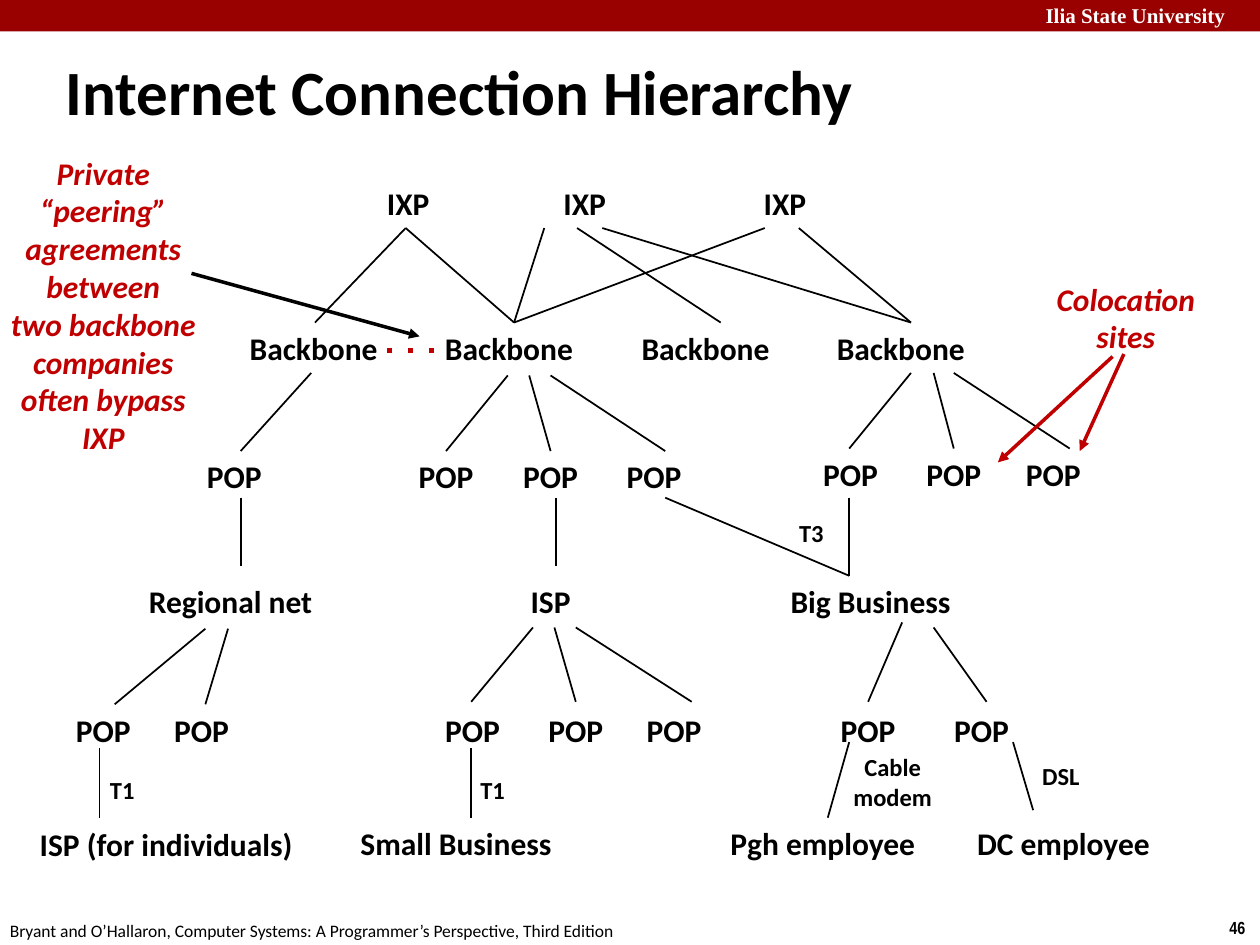
from lxml import etree
from pptx import Presentation
from pptx.dml.color import RGBColor
from pptx.enum.shapes import MSO_CONNECTOR, MSO_SHAPE
from pptx.enum.text import MSO_ANCHOR, PP_ALIGN
from pptx.oxml.ns import qn
from pptx.util import Inches, Pt

BLACK, RED = "000000", "C00000"

deck = Presentation()
deck.slide_width, deck.slide_height = Inches(10), Inches(7.5)
slide = deck.slides.add_slide(deck.slide_layouts[6])
shapes = slide.shapes


def write(text, left, top, width, height, size=18, color=BLACK, face="Calibri",
          bold=True, italic=False, align=PP_ALIGN.CENTER,
          anchor=MSO_ANCHOR.MIDDLE, wrap=False):
    box = shapes.add_textbox(*map(Inches, (left, top, width, height)))
    frame = box.text_frame
    frame.text = text
    frame.word_wrap = wrap
    frame.vertical_anchor = anchor
    for para in frame.paragraphs:
        para.alignment = align
        font = para.runs[0].font
        font.size, font.name = Pt(size), face
        font.bold, font.italic = bold, italic
        font.color.rgb = RGBColor.from_string(color)


def link(x1, y1, x2, y2, color=BLACK, weight=1, dash=None, arrow=False):
    line = shapes.add_connector(MSO_CONNECTOR.STRAIGHT,
                                *map(Inches, (x1, y1, x2, y2)))
    line.line.color.rgb = RGBColor.from_string(color)
    line.line.width = Pt(weight)
    props = line.line._get_or_add_ln()
    if dash:
        etree.SubElement(props, qn("a:prstDash"), val=dash)
    if arrow:
        etree.SubElement(props, qn("a:tailEnd"), type="triangle")
    etree.SubElement(line._element.spPr, qn("a:effectLst"))


# Header, footer and title
bar = shapes.add_shape(MSO_SHAPE.RECTANGLE, 0, 0, Inches(10), Inches(0.25))
bar.shadow.inherit = False
bar.fill.solid()
bar.fill.fore_color.rgb = RGBColor.from_string("990000")
bar.line.fill.background()

plain = {"align": PP_ALIGN.LEFT, "anchor": MSO_ANCHOR.TOP}
write("Ilia State University", 8.2, -0.03, 1.87, 0.3, 12, "FFFFFF",
      "Times New Roman", wrap=True, **plain)
write("46", 9.66, 7.23, 0.34, 0.27, 10, face="Arial Narrow", **plain)
write("Bryant and O’Hallaron, Computer Systems: A Programmer’s Perspective, "
      "Third Edition", -0.02, 7.25, 5.08, 0.27, 10, bold=False, **plain)
write("Internet Connection Hierarchy", 0.42, 0.37, 8.25, 0.63, 36,
      wrap=True, **plain)

# Links between levels: top y, bottom y, then (top x, bottom x) pairs
fans = [
    (1.81, 2.56, [(3.22, 2.5), (3.22, 4.08), (4.32, 4.08), (4.58, 5.72),
                  (4.78, 7.23), (6.07, 4.08), (6.34, 7.23)]),
    (2.96, 3.58, [(2.47, 1.91)]),
    (2.98, 3.58, [(4.03, 3.54), (4.2, 4.37), (4.37, 5.28)]),
    (2.96, 3.56, [(7.23, 6.74), (7.41, 7.57), (7.57, 8.49)]),
    (3.95, 4.49, [(1.91, 1.91), (4.41, 4.41)]),
    (3.95, 4.57, [(5.28, 6.74), (6.74, 6.74)]),
    (4.99, 5.59, [(1.63, 0.91), (1.81, 1.63)]),
    (4.98, 5.57, [(4.23, 3.74), (4.4, 4.57), (4.57, 5.49), (7.41, 7.83)]),
    (4.94, 5.57, [(7.16, 6.89)]),
    (5.94, 6.49, [(0.79, 0.79), (3.74, 3.74)]),
    (5.89, 6.49, [(6.74, 6.57)]),
    (5.89, 6.43, [(8.04, 8.2)]),
]
for top, bottom, pairs in fans:
    for x1, x2 in pairs:
        link(x1, top, x2, bottom)

# Repeated nodes: text, width, top, centres
nodes = [
    ("IXP", 0.54, 1.41, [3.24, 4.64, 6.23]),
    ("Backbone", 1.23, 2.56, [2.49, 4.04, 5.6, 7.15]),
    ("POP", 0.64, 3.58, [1.86, 3.54, 4.37, 5.19]),
    ("POP", 0.64, 3.56, [6.75, 7.57, 8.36]),
    ("Regional net", 1.5, 4.57, [1.83]),
    ("ISP", 0.52, 4.57, [4.37]),
    ("Big Business", 1.48, 4.57, [6.91]),
    ("POP", 0.64, 5.59, [0.82, 1.6, 3.75, 4.57, 5.35, 6.89, 7.79]),
    ("ISP (for individuals)", 2.23, 6.5, [1.32]),
    ("Small Business", 1.73, 6.49, [3.62]),
    ("Pgh employee", 1.68, 6.49, [6.53]),
    ("DC employee", 1.58, 6.49, [8.44]),
]
for text, width, top, centres in nodes:
    for mid in centres:
        write(text, mid - width / 2, top, width, 0.4)

# Link types
for text, left, top, width, height in [
    ("T3", 6.24, 4.06, 0.4, 0.34),
    ("T1", 0.77, 6.1, 0.4, 0.34),
    ("T1", 3.71, 6.1, 0.4, 0.34),
    ("Cable\nmodem", 6.67, 5.92, 0.83, 0.57),
    ("DSL", 8.17, 5.99, 0.5, 0.34),
]:
    write(text, left, top, width, height, 14)

# Red remarks and their arrows
remark = {"color": RED, "italic": True, "anchor": MSO_ANCHOR.TOP}
write("Colocation\nsites", 8.28, 2.17, 1.31, 0.71, **remark)
write("Private\n“peering”\nagreements\nbetween\ntwo backbone\ncompanies\n"
      "often bypass\nIXP", -0.05, 1.17, 1.74, 2.52, **remark)
link(3.07, 2.78, 3.48, 2.78, RED, 3, dash="dot")
link(1.52, 2.17, 3.33, 2.67, weight=2, arrow=True)
link(8.92, 2.81, 8.57, 3.58, RED, 2, arrow=True)
link(8.83, 2.83, 7.92, 3.67, RED, 2, arrow=True)

deck.save("out.pptx")
